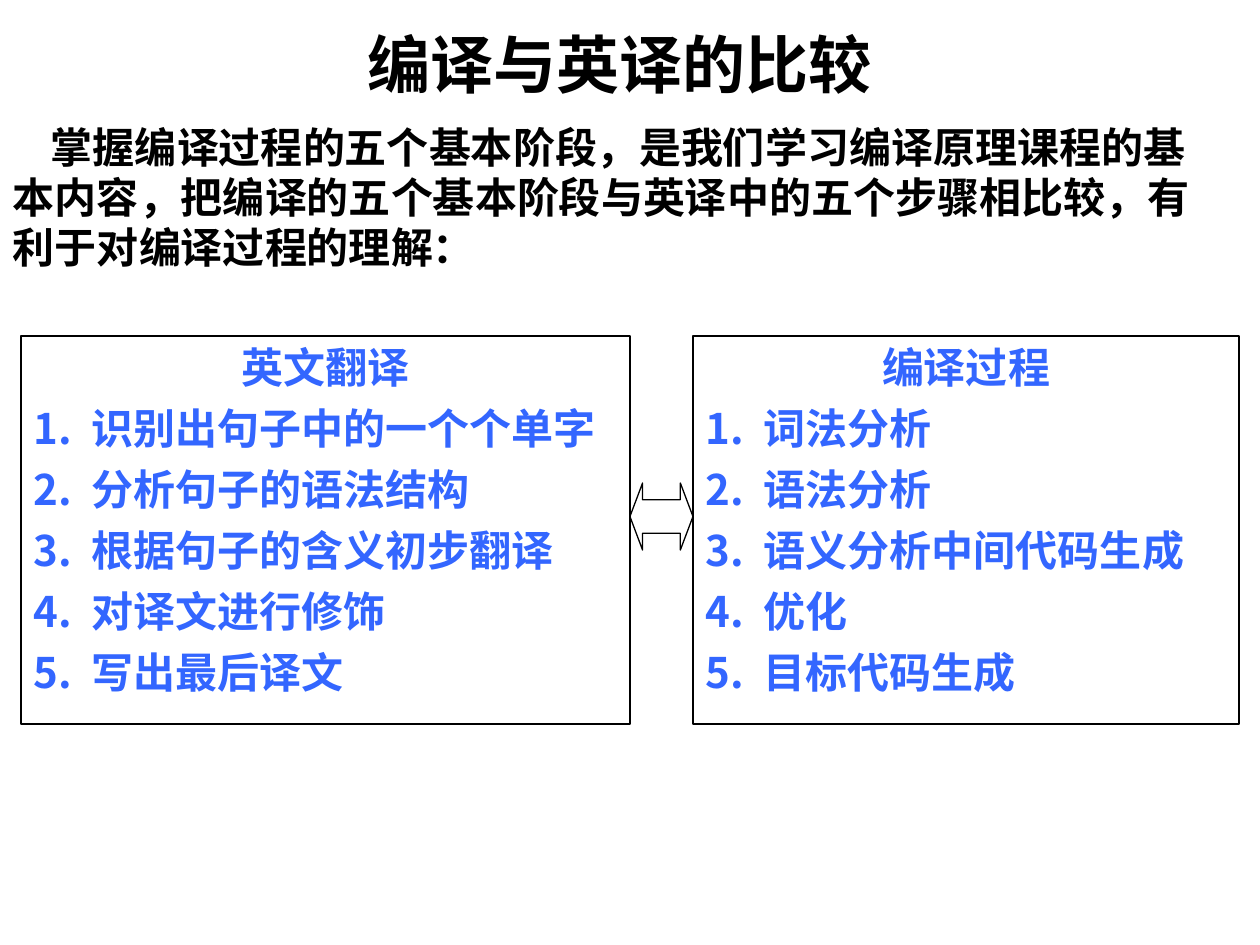
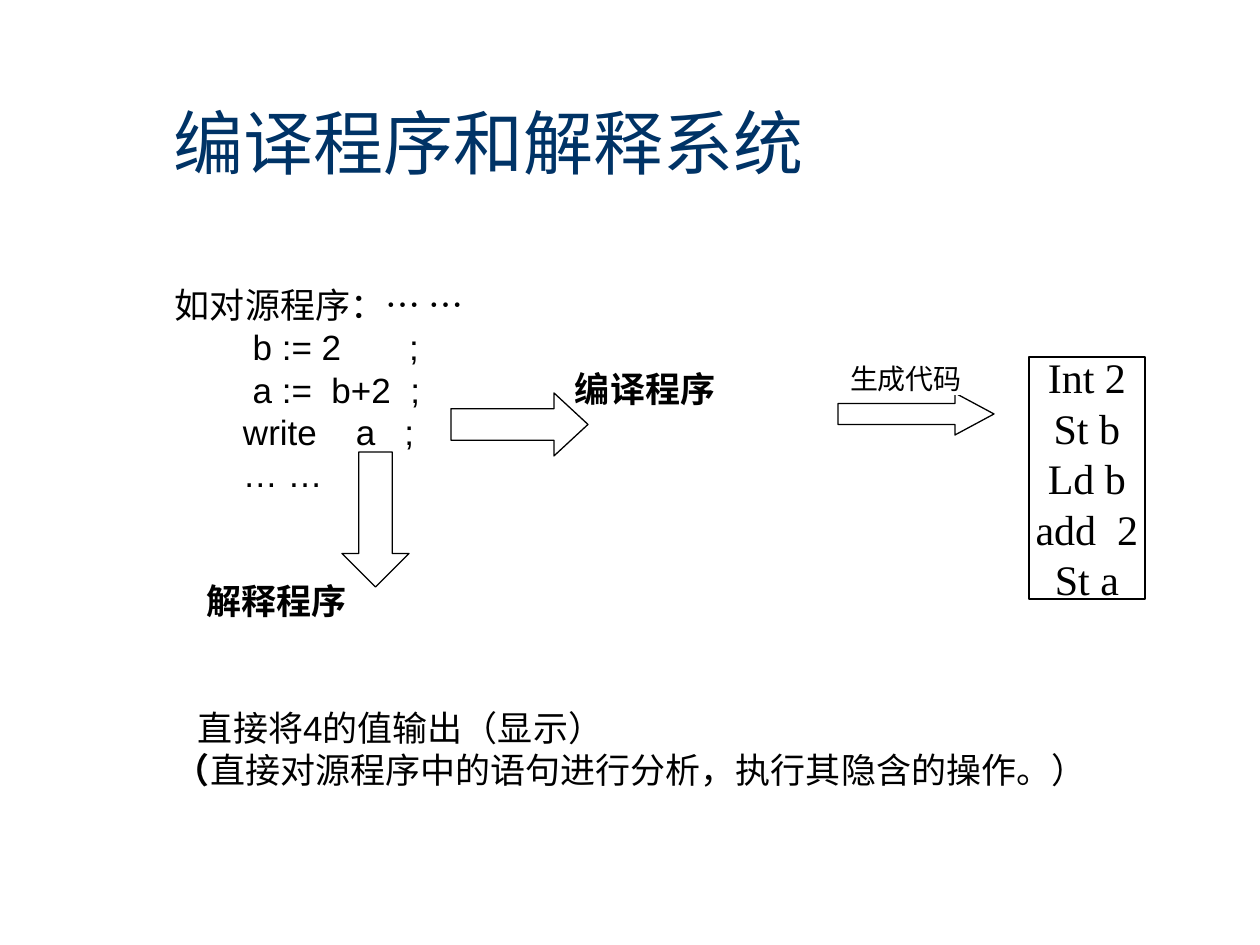
from lxml.etree import SubElement
from pptx import Presentation
from pptx.dml.color import RGBColor
from pptx.enum.shapes import MSO_SHAPE
from pptx.enum.text import MSO_ANCHOR, PP_ALIGN
from pptx.oxml.ns import qn
from pptx.util import Emu, Pt

EMU_PER_PX = 914400 / 126

BLACK = RGBColor(0x00, 0x00, 0x00)
WHITE = RGBColor(0xFF, 0xFF, 0xFF)
NAVY = RGBColor(0x00, 0x33, 0x66)
BLUE = RGBColor(0x33, 0x66, 0xFF)

SERIF = "Times New Roman"
SANS = "Arial"
CJK = "Noto Sans CJK SC"

LINE_PITCH = 1.2  # line height relative to text size
INSET_X, INSET_Y = 13, 6


def px(length):
    return Emu(round(length * EMU_PER_PX))


def place(box):
    return [px(length) for length in box]


# Text
def style(paragraph, font, size, color=BLACK, bold=False,
          align=PP_ALIGN.LEFT):
    paragraph.alignment = align
    paragraph.line_spacing = Pt(round(size * LINE_PITCH, 1))
    paragraph.font.name = font
    paragraph.font.size = Pt(size)
    paragraph.font.bold = bold
    paragraph.font.color.rgb = color


def indent(paragraph, first, left=0):
    properties = paragraph._p.get_or_add_pPr()
    properties.set("marL", str(px(left)))
    properties.set("indent", str(px(first)))


def number(paragraph):
    indent(paragraph, -58, 58)
    SubElement(paragraph._p.get_or_add_pPr(), qn("a:buAutoNum"),
               type="arabicPeriod")


def fill_frame(frame, lines, anchor=MSO_ANCHOR.TOP, wrap=True):
    """Set up a text frame and return one paragraph per line."""
    frame.word_wrap = wrap
    frame.vertical_anchor = anchor
    frame.margin_left = frame.margin_right = px(INSET_X)
    frame.margin_top = frame.margin_bottom = px(INSET_Y)
    frame.text = "\n".join(lines)
    return frame.paragraphs


def add_text(slide, box, lines, font, size, anchor=MSO_ANCHOR.TOP, **look):
    frame = slide.shapes.add_textbox(*place(box)).text_frame
    paragraphs = fill_frame(frame, lines, anchor)
    for paragraph in paragraphs:
        style(paragraph, font, size, **look)
    return paragraphs


def add_title(slide, box, text, size, **look):
    add_text(slide, box, [text], SERIF, size, MSO_ANCHOR.MIDDLE, **look)


# Shapes
def add_outlined(slide, kind, box, fill=WHITE, line=BLACK, adjustments=()):
    shape = slide.shapes.add_shape(kind, *place(box))
    shape.shadow.inherit = False
    if fill is None:
        shape.fill.background()
    else:
        shape.fill.solid()
        shape.fill.fore_color.rgb = fill
    shape.line.color.rgb = line
    shape.line.width = Pt(0.75)
    for index, value in enumerate(adjustments):
        shape.adjustments[index] = value
    return shape


def add_label_box(slide, box, lines, size, line=BLACK):
    shape = add_outlined(slide, MSO_SHAPE.RECTANGLE, box, line=line)
    for paragraph in fill_frame(shape.text_frame, lines, MSO_ANCHOR.MIDDLE,
                                wrap=False):
        style(paragraph, SERIF, size, align=PP_ALIGN.CENTER)


def add_step_box(slide, box, heading, steps):
    shape = add_outlined(slide, MSO_SHAPE.RECTANGLE, box, fill=None)
    top, *items = fill_frame(shape.text_frame, [heading, *steps])
    style(top, CJK, 24, BLUE, True, PP_ALIGN.CENTER)
    for item in items:
        number(item)
        item.space_before = Pt(6)
        style(item, CJK, 24, BLUE, True)


# Slides
def build_comparison(slide):
    add_title(slide, (73, 32, 1092, 63), "编译与英译的比较", 36,
              bold=True, align=PP_ALIGN.CENTER)
    intro, = add_text(
        slide, (0, 115, 1239, 168),
        ["掌握编译过程的五个基本阶段，是我们学习编译原理课程的基本内容，"
         "把编译的五个基本阶段与英译中的五个步骤相比较，有利于对编译过程的理解："],
        CJK, 24, bold=True)
    indent(intro, 38)

    add_step_box(slide, (21, 336, 609, 388), "英文翻译",
                 ["识别出句子中的一个个单字", "分析句子的语法结构",
                  "根据句子的含义初步翻译", "对译文进行修饰", "写出最后译文"])
    add_step_box(slide, (693, 336, 546, 388), "编译过程",
                 ["词法分析", "语法分析", "语义分析中间代码生成",
                  "优化", "目标代码生成"])
    add_outlined(slide, MSO_SHAPE.LEFT_RIGHT_ARROW, (630, 483, 63, 67),
                 fill=None, adjustments=(0.5, 0.2))


def build_compiler_and_interpreter(slide):
    add_title(slide, (161, 63, 1071, 156), "编译程序和解释系统", 40, color=NAVY)

    # Source program and the two ways to process it
    add_text(slide, (162, 278, 380, 225),
             ["如对源程序：… …",
              "        b := 2       ;",
              "        a :=  b+2  ;",
              "       write    a   ;",
              "       … …"], SANS, 20)
    for left, top, name in ((562, 361, "编译程序"), (193, 573, "解释程序")):
        add_text(slide, (left, top, 180, 54), [name], SANS, 20, bold=True)

    # Result of interpreting
    result, remark = add_text(
        slide, (162, 700, 1071, 97),
        ["直接将4的值输出（显示）", "（"], SANS, 20)
    indent(result, 23)
    remark.runs[0].font.bold = True
    remark.add_run().text = "直接对源程序中的语句进行分析，执行其隐含的操作。）"

    # Arrows and generated code
    add_outlined(slide, MSO_SHAPE.RIGHT_ARROW, (451, 393, 137, 63),
                 adjustments=(0.5, 0.54))
    add_label_box(slide, (1029, 357, 116, 242),
                  ["Int 2", "St b", "Ld b", "add  2", "St a"], 24)
    add_outlined(slide, MSO_SHAPE.RIGHT_ARROW, (838, 393, 156, 42),
                 adjustments=(0.5, 0.93))
    add_label_box(slide, (848, 363, 116, 31), ["生成代码"], 16, line=WHITE)
    add_outlined(slide, MSO_SHAPE.DOWN_ARROW, (342, 452, 67, 135),
                 adjustments=(0.5, 0.5))


def main():
    deck = Presentation()
    deck.slide_width, deck.slide_height = px(1260), px(945)
    blank = deck.slide_layouts[6]
    for build in (build_comparison, build_compiler_and_interpreter):
        build(deck.slides.add_slide(blank))
    deck.save("out.pptx")


if __name__ == "__main__":
    main()
